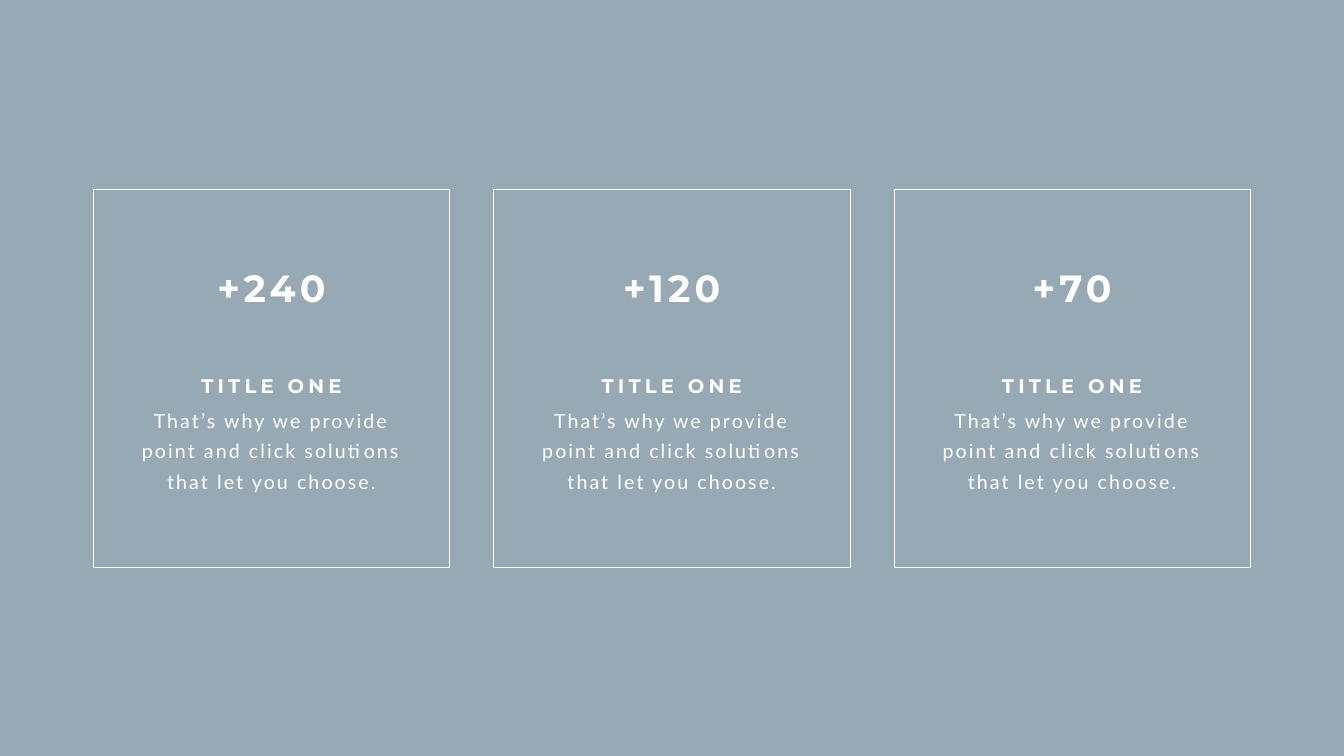
from lxml import etree
from pptx import Presentation
from pptx.dml.color import RGBColor
from pptx.enum.shapes import MSO_SHAPE as SHAPE
from pptx.enum.text import PP_ALIGN as ALIGN
from pptx.oxml.ns import qn
from pptx.util import Pt

SLIDE_W, SLIDE_H = 1919.52, 1080
CARD_W, CARD_H = 509, 540.7
CARD_LEFT, CARD_TOP, CARD_PITCH = 133.2, 270, 571.75
WHITE = "FFFFFF"
BODY = "That’s why we provide point and click solutions that let you choose."
CARDS = [("+240", "TITLE ONE", BODY),
         ("+120", "TITLE ONE", BODY),
         ("+70", "TITLE ONE", BODY)]


def color(value):
    return RGBColor.from_string(value)


def add_rect(s, x, y, w, h, fill=None, alpha=100, line=None):
    sp = s.shapes.add_shape(SHAPE.RECTANGLE, Pt(x), Pt(y), Pt(w), Pt(h))
    sp.shadow.inherit = False
    if fill:
        sp.fill.solid()
        sp.fill.fore_color.rgb = color(fill)
        clr = sp.fill._xPr.find(".//" + qn("a:srgbClr"))
        etree.SubElement(clr, qn("a:alpha"), val=str(alpha * 1000))
    else:
        sp.fill.background()
    if line:
        sp.line.color.rgb = color(line)
        sp.line.width = Pt(1)
    else:
        sp.line.fill.background()
    return sp


def add_text(s, text, x, y, w, h, font="Montserrat", size=28, bold=False,
             spacing=0, leading=None):
    tf = s.shapes.add_textbox(Pt(x), Pt(y), Pt(w), Pt(h)).text_frame
    tf.word_wrap = True
    p = tf.paragraphs[0]
    p.alignment = ALIGN.CENTER
    if leading:
        p.line_spacing = Pt(leading)
    r = p.add_run()
    r.text = text
    r.font.name, r.font.size, r.font.bold = font, Pt(size), bold
    r.font.color.rgb = color(WHITE)
    r.font._element.set("spc", str(spacing * 100))


def add_card(s, x, y, w, h, number, title, body):
    def centered(width):
        return x + (w - width) / 2

    add_rect(s, x, y, w, h, line=WHITE)
    add_text(s, number, centered(214.6), y + 104.4, 214.6, 72.7,
             size=54, bold=True, spacing=6)
    add_text(s, title, centered(317.5), y + 260, 317.5, 41,
             bold=True, spacing=6)
    add_text(s, body, centered(392.4), y + 301.7, 392.4, 133.2,
             font="Lato", spacing=3, leading=43)


def main():
    prs = Presentation()
    prs.slide_width, prs.slide_height = Pt(SLIDE_W), Pt(SLIDE_H)
    s = prs.slides.add_slide(prs.slide_layouts[6])

    # Dark background under a translucent tint
    s.background.fill.solid()
    s.background.fill.fore_color.rgb = color("363E48")
    add_rect(s, 0, 0, SLIDE_W, SLIDE_H, fill="B1C4D2", alpha=80)

    # Row of figure cards
    for i, card in enumerate(CARDS):
        add_card(s, CARD_LEFT + i * CARD_PITCH, CARD_TOP, CARD_W, CARD_H, *card)

    prs.save("out.pptx")


if __name__ == "__main__":
    main()
